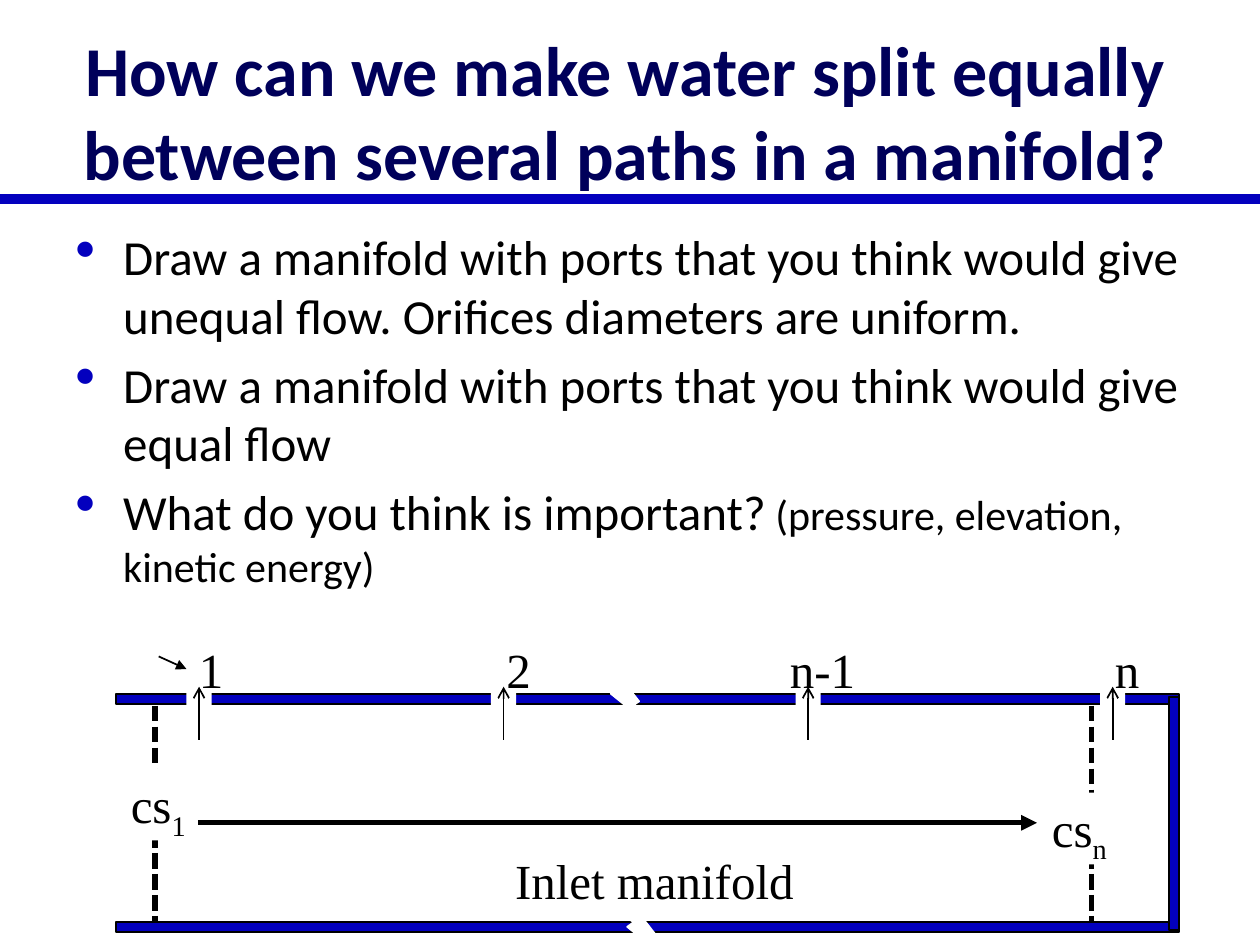
from lxml import etree
from pptx import Presentation
from pptx.dml.color import RGBColor
from pptx.enum.dml import MSO_LINE
from pptx.enum.shapes import MSO_CONNECTOR, MSO_SHAPE
from pptx.enum.text import MSO_ANCHOR, PP_ALIGN
from pptx.oxml.ns import qn
from pptx.util import Inches, Pt

RECTANGLE, BOLT = MSO_SHAPE.RECTANGLE, MSO_SHAPE.LIGHTNING_BOLT
STRAIGHT = MSO_CONNECTOR.STRAIGHT
DASH = MSO_LINE.SQUARE_DOT
CENTER, LEFT = PP_ALIGN.CENTER, PP_ALIGN.LEFT
MIDDLE, TOP = MSO_ANCHOR.MIDDLE, MSO_ANCHOR.TOP

# The slide is a grid of 100 columns and 75 rows
COLUMNS, ROWS = 100, 75
CELL = Inches(0.1)

BLUE, NAVY, BLACK, WHITE = "0300BE", "00005A", "000000", "FFFFFF"
SANS, SERIF = "Calibri", "Times New Roman"

TITLE = "How can we make water split equally between several paths in a manifold?"
BULLETS = [
    [("Draw a manifold with ports that you think would give unequal flow. "
      "Orifices diameters are uniform.", 28)],
    [("Draw a manifold with ports that you think would give equal flow", 28)],
    [("What do you think is important?", 28),
     (" (pressure, elevation, kinetic energy)", 24)],
]

# Manifold geometry in grid cells
PIPE_LEFT, PIPE_LENGTH, WALL = 9.2, 84.4, 0.8
TOP_WALL, BOTTOM_WALL = 55.1, 73.2
FIRST_PORT, PORT_GAP, PORT_WIDTH = 15.8, 24.17, 2
LABEL_HEIGHT = 5.7
PORT_LABELS = [("1", 14.8, 4), ("2", 39.2, 4), ("n-1", 61.7, 7.2), ("n", 87.5, 4)]
SECTIONS = [("1", 12.3, 9.4, 61), ("n", 86.6, 82.5, 62.9)]


def cells(*counts):
    return [round(count * CELL) for count in counts]


def color(code):
    return RGBColor.from_string(code)


def add_block(page, left, top, width, height, fill, outline=None, kind=RECTANGLE):
    block = page.shapes.add_shape(kind, *cells(left, top, width, height))
    block.shadow.inherit = False
    block.fill.solid()
    block.fill.fore_color.rgb = color(fill)
    if outline:
        block.line.color.rgb = color(outline)
        block.line.width = Pt(1)
    else:
        block.line.fill.background()
    return block


def add_line(page, start, end, width, code=BLACK, head=None, dash=None):
    line = page.shapes.add_connector(STRAIGHT, *cells(*start, *end))
    line.line.color.rgb = color(code)
    line.line.width = Pt(width)
    if dash:
        line.line.dash_style = dash
    properties = line._element.spPr
    if head:
        etree.SubElement(properties.find(qn("a:ln")), qn("a:tailEnd"), type=head)
    etree.SubElement(properties, qn("a:effectLst"))


def add_span(para, text, size, font, code=BLACK, bold=False, baseline=None):
    span = para.add_run()
    span.text = text
    span.font.size = Pt(size)
    span.font.name = font
    span.font.bold = bold
    span.font.color.rgb = color(code)
    if baseline:
        span._r.get_or_add_rPr().set("baseline", str(baseline))


def add_box(page, left, top, width, height, wrap=False, anchor=TOP):
    box = page.shapes.add_textbox(*cells(left, top, width, height))
    box.text_frame.word_wrap = wrap
    box.text_frame.vertical_anchor = anchor
    return box.text_frame


def add_label(page, text, left, top, width):
    frame = add_box(page, left, top, width, LABEL_HEIGHT)
    add_span(frame.paragraphs[0], text, 28, SERIF)


def set_bullet(para):
    properties = para._p.get_or_add_pPr()
    indent = Inches(0.38)
    properties.set("marL", str(indent))
    properties.set("indent", str(-indent))
    tint = etree.SubElement(properties, qn("a:buClr"))
    etree.SubElement(tint, qn("a:srgbClr"), val=BLUE)
    etree.SubElement(properties, qn("a:buSzPct"), val="120000")
    etree.SubElement(properties, qn("a:buChar"), char="•")


def add_heading(page):
    add_line(page, (0, 15.8), (COLUMNS, 15.8), 6, BLUE)
    frame = add_box(page, 1.7, 2.5, 95.8, 12.5, wrap=True, anchor=MIDDLE)
    para = frame.paragraphs[0]
    para.alignment = CENTER
    add_span(para, TITLE, 40, SANS, NAVY, bold=True)


def add_bullets(page):
    frame = add_box(page, 5, 17.5, 90, 28.7, wrap=True)
    for index, spans in enumerate(BULLETS):
        para = frame.add_paragraph() if index else frame.paragraphs[0]
        set_bullet(para)
        if index:
            para.space_before = Pt(5.6)
        for text, size in spans:
            add_span(para, text, size, SANS)


def add_section(page, subscript, column, left, top):
    """Dashed control section with its name on a white patch."""
    add_line(page, (column, 56), (column, BOTTOM_WALL), 3, dash=DASH)
    patch = add_block(page, left, top, 6.6, LABEL_HEIGHT, WHITE)
    frame = patch.text_frame
    frame.word_wrap = False
    frame.vertical_anchor = TOP
    para = frame.paragraphs[0]
    para.alignment = LEFT
    add_span(para, "cs", 28, SERIF)
    add_span(para, subscript, 28, SERIF, baseline=-25000)


def add_manifold(page):
    # Pipe walls and closed end
    for row in (TOP_WALL, BOTTOM_WALL):
        add_block(page, PIPE_LEFT, row, PIPE_LENGTH, WALL, BLUE, BLACK)
    add_block(page, PIPE_LEFT + PIPE_LENGTH - WALL, 55.3, WALL, 18.5, BLUE, BLACK)

    # Ports: gap in the wall, number and outflow arrow
    for index, (text, left, width) in enumerate(PORT_LABELS):
        center = FIRST_PORT + index * PORT_GAP
        add_block(page, center - PORT_WIDTH / 2, 52.5, PORT_WIDTH, LABEL_HEIGHT, WHITE)
        add_label(page, text, left, 50.3, width)
        add_line(page, (center, 58.7), (center, 54.5), 1, head="arrow")

    # Breaks in the pipe walls
    for left, top in ((47.5, 52.5), (48.8, 71)):
        add_block(page, left, top, 4.2, LABEL_HEIGHT, WHITE, WHITE, BOLT)

    # Pointer to the first port, control sections and main flow
    add_line(page, (12.6, 52.1), (14.8, 53.1), 1, head="triangle")
    for section in SECTIONS:
        add_section(page, *section)
    add_label(page, "Inlet manifold", 39.9, 67, 24.4)
    add_line(page, (15.7, 65.3), (82.3, 65.3), 3, head="triangle")


def main():
    deck = Presentation()
    deck.slide_width, deck.slide_height = cells(COLUMNS, ROWS)
    page = deck.slides.add_slide(deck.slide_layouts[6])
    add_heading(page)
    add_bullets(page)
    add_manifold(page)
    deck.save("out.pptx")


if __name__ == "__main__":
    main()
